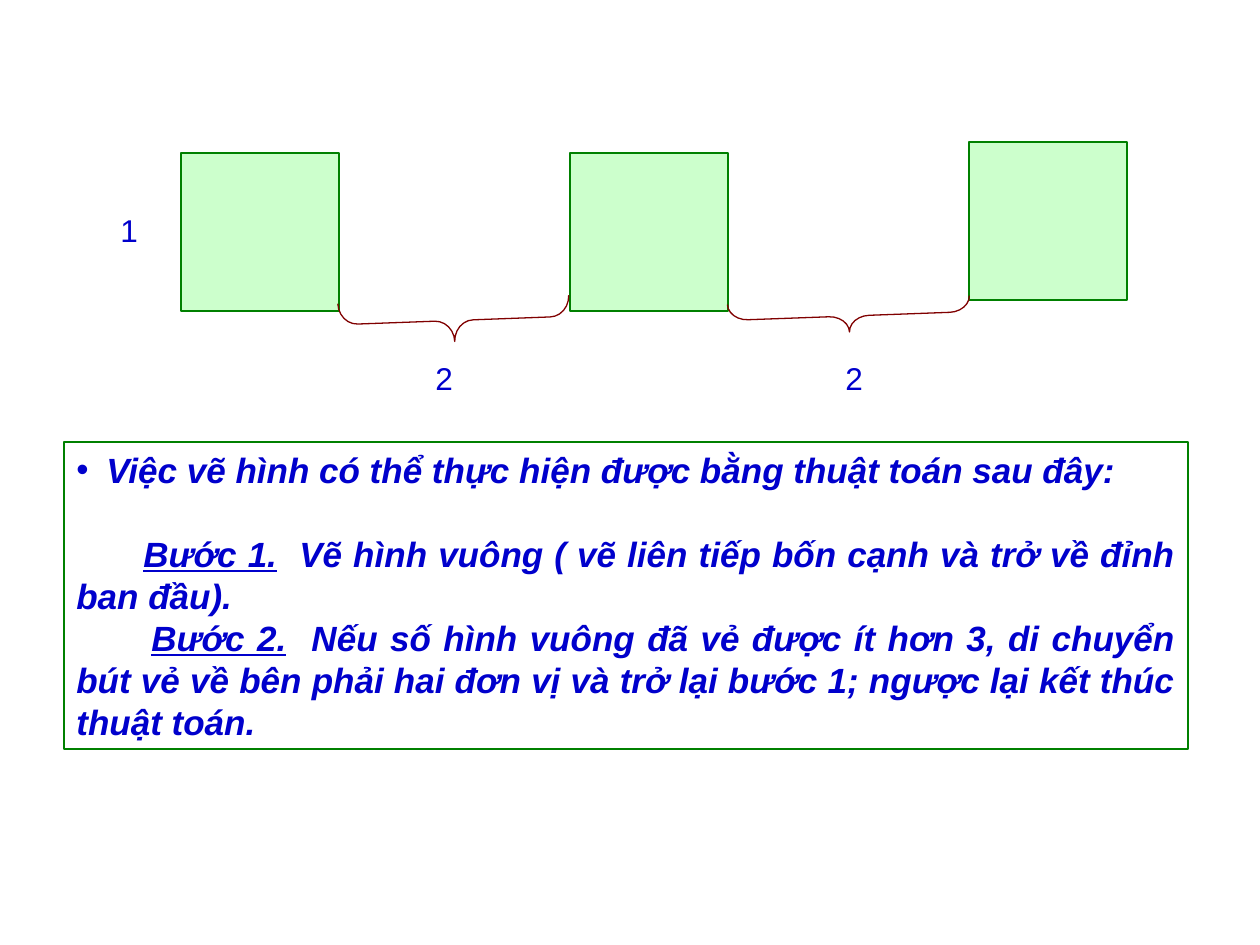
"""Build a slide with three squares, their spacing and the drawing algorithm."""
from lxml import etree
from pptx import Presentation
from pptx import util as u
from pptx.dml.color import RGBColor
from pptx.enum import shapes, text
from pptx.oxml import ns

PX = 914400 // 126
BLUE, GREEN, MINT, MAROON, WHITE = "0000CC", "008000", "CCFFCC", "800000", "FFFFFF"


def color(value):
    return RGBColor.from_string(value)


def write(para, content, size=18, bold=False, italic=False, underline=False):
    span = para.add_run()
    span.text = content
    span.font.name = "Arial"
    span.font.size = u.Pt(size)
    span.font.bold = bold
    span.font.italic = italic
    span.font.underline = underline
    span.font.color.rgb = color(BLUE)


deck = Presentation()
deck.slide_width, deck.slide_height = u.Inches(10), u.Inches(7.5)
page = deck.slides.add_slide(deck.slide_layouts[6])

box = page.shapes.add_textbox(64 * PX, 442 * PX, 1124 * PX, 307 * PX)
box.fill.solid()
box.fill.fore_color.rgb = color(WHITE)
box.line.color.rgb = color(GREEN)
box.line.width = u.Pt(0.75)
frame = box.text_frame
frame.word_wrap = True
frame.auto_size = text.MSO_AUTO_SIZE.SHAPE_TO_FIT_TEXT

intro = frame.paragraphs[0]
intro.alignment = text.PP_ALIGN.JUSTIFY
intro.space_after = u.Pt(24)
props = intro._p.get_or_add_pPr()
props.set("marL", str(30 * PX))
props.set("indent", str(-30 * PX))
bullet_color = etree.SubElement(props, ns.qn("a:buClr"))
etree.SubElement(bullet_color, ns.qn("a:srgbClr"), val=BLUE)
etree.SubElement(props, ns.qn("a:buFont"), typeface="Arial")
etree.SubElement(props, ns.qn("a:buChar"), char="•")
write(intro, "Việc vẽ hình có thể thực hiện được bằng thuật toán sau đây:",
      size=20, bold=True, italic=True)

steps = [
    ("Bước 1.", "  Vẽ hình vuông ( vẽ liên tiếp bốn cạnh và trở về đỉnh ban đầu).", 67),
    ("Bước 2.", "  Nếu số hình vuông đã vẻ được ít hơn 3, di chuyển bút vẻ về bên phải "
     "hai đơn vị và trở lại bước 1; ngược lại kết thúc thuật toán.", 75),
]
for name, action, indent in steps:
    para = frame.add_paragraph()
    para.alignment = text.PP_ALIGN.JUSTIFY
    para._p.get_or_add_pPr().set("indent", str(indent * PX))
    write(para, name, size=20, bold=True, italic=True, underline=True)
    write(para, action, size=20, bold=True, italic=True)

for left, top in [(181, 153), (570, 153), (969, 142)]:
    square = page.shapes.add_shape(shapes.MSO_SHAPE.RECTANGLE,
                                   left * PX, top * PX, 158 * PX, 158 * PX)
    square.shadow.inherit = False
    square.fill.solid()
    square.fill.fore_color.rgb = color(MINT)
    square.line.color.rgb = color(GREEN)
    square.line.width = u.Pt(0.75)

for left, top, width, height in [(433, 205, 42, 231), (833, 195, 32, 242)]:
    brace = page.shapes.add_shape(shapes.MSO_SHAPE.LEFT_BRACE,
                                  left * PX, top * PX, width * PX, height * PX)
    brace.rotation = 267.9
    brace.adjustments[0] = height / 12 / width
    brace.shadow.inherit = False
    brace.fill.background()
    brace.line.color.rgb = color(MAROON)
    brace.line.width = u.Pt(0.75)

for label, left, top in [("1", 108, 205), ("2", 423, 353), ("2", 833, 353)]:
    length = page.shapes.add_textbox(left * PX, top * PX, 43 * PX, 50 * PX)
    length.text_frame.word_wrap = False
    length.text_frame.auto_size = text.MSO_AUTO_SIZE.SHAPE_TO_FIT_TEXT
    write(length.text_frame.paragraphs[0], label)

deck.save("out.pptx")
